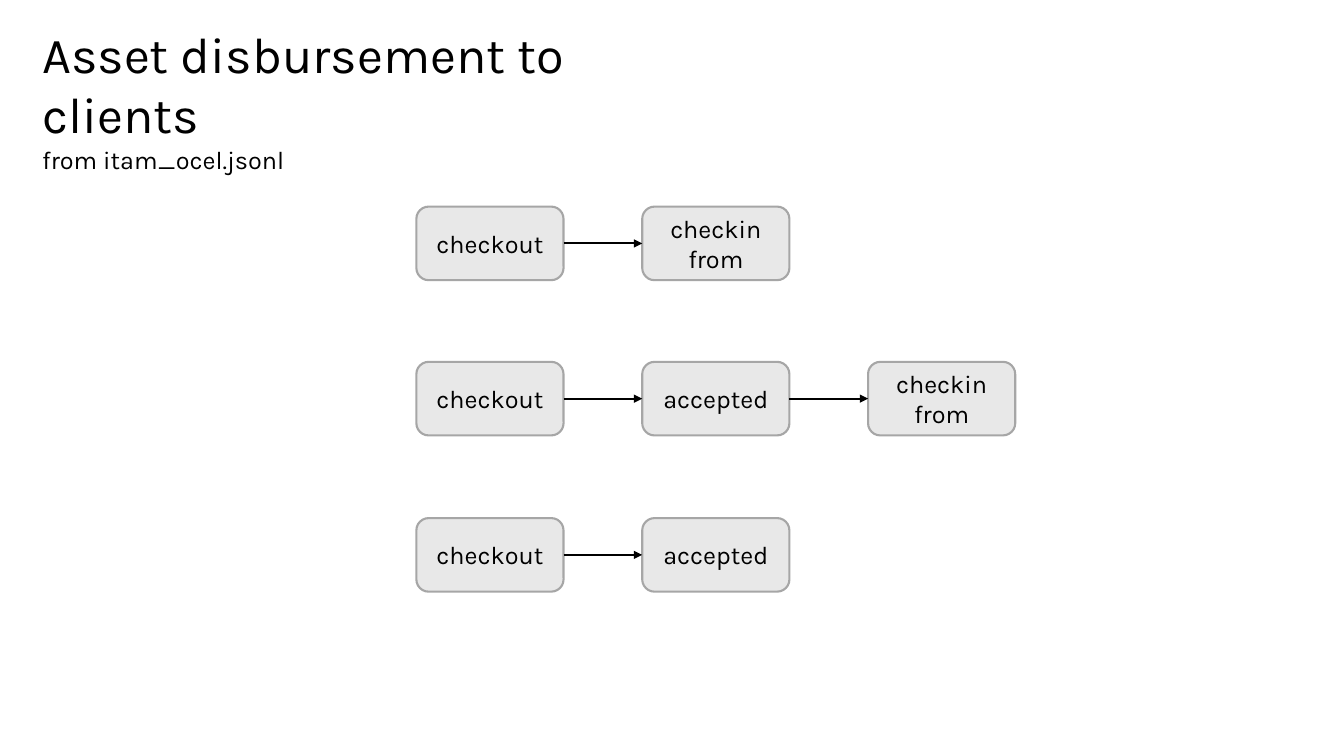
import pptx
import pptx.util
import pptx.dml.color
import pptx.enum.shapes
import pptx.enum.text
import pptx.oxml.ns
from lxml import etree

Inches, Pt = pptx.util.Inches, pptx.util.Pt
COLORS = {"text": "000000", "box": "E8E8E8", "border": "A6A6A6", "arrow": "000000"}
FONT = "Karla"

BOX_W, BOX_H = 1.46, 0.73
STEP_PITCH = 2.24
FLOW_LEFT = 4.13
FLOWS = [
    (2.05, ["checkout", "checkin\nfrom"]),
    (3.59, ["checkout", "accepted", "checkin\nfrom"]),
    (5.14, ["checkout", "accepted"]),
]


def rgb(name):
    return pptx.dml.color.RGBColor.from_string(COLORS[name])


def add_run(p, text, size):
    r = p.add_run()
    r.text = text
    r.font.name = FONT
    r.font.size = Pt(size)
    r.font.color.rgb = rgb("text")


def add_title(s, left, top, width, height):
    sp = s.shapes.add_textbox(Inches(left), Inches(top), Inches(width), Inches(height))
    tf = sp.text_frame
    tf.word_wrap = True
    add_run(tf.paragraphs[0], "Asset disbursement to clients", 36)
    add_run(tf.add_paragraph(), "from itam_ocel.jsonl", 18)


def add_step(s, left, top, label):
    sp = s.shapes.add_shape(pptx.enum.shapes.MSO_SHAPE.ROUNDED_RECTANGLE,
                            Inches(left), Inches(top), Inches(BOX_W), Inches(BOX_H))
    sp.shadow.inherit = False
    sp.fill.solid()
    sp.fill.fore_color.rgb = rgb("box")
    sp.line.color.rgb = rgb("border")
    sp.line.width = Pt(1.5)
    tf = sp.text_frame
    tf.word_wrap = True
    tf.vertical_anchor = pptx.enum.text.MSO_ANCHOR.MIDDLE
    tf.margin_top = tf.margin_bottom = Inches(0.05)
    for i, line in enumerate(label.split("\n")):
        p = tf.add_paragraph() if i else tf.paragraphs[0]
        p.alignment = pptx.enum.text.PP_ALIGN.CENTER
        add_run(p, line, 18)
    return sp


def add_arrow(s, source, target):
    cx = s.shapes.add_connector(pptx.enum.shapes.MSO_CONNECTOR.STRAIGHT, 0, 0, 0, 0)
    cx.begin_connect(source, 3)
    cx.end_connect(target, 1)
    cx.line.color.rgb = rgb("arrow")
    cx.line.width = Pt(1.5)
    qn = pptx.oxml.ns.qn
    etree.SubElement(cx.line._get_or_add_ln(), qn("a:tailEnd"), type="triangle")
    etree.SubElement(cx._element.spPr, qn("a:effectLst"))


def add_flow(s, left, top, labels):
    steps = [add_step(s, left + i * STEP_PITCH, top, label)
             for i, label in enumerate(labels)]
    for source, target in zip(steps, steps[1:]):
        add_arrow(s, source, target)


def main():
    prs = pptx.Presentation()
    prs.slide_width, prs.slide_height = Inches(13.33), Inches(7.5)
    s = prs.slides.add_slide(prs.slide_layouts[6])

    # Title and data source
    add_title(s, 0.32, 0.18, 6.68, 1.01)

    # One row of steps per process variant
    for top, labels in FLOWS:
        add_flow(s, FLOW_LEFT, top, labels)

    prs.save("out.pptx")


if __name__ == "__main__":
    main()
